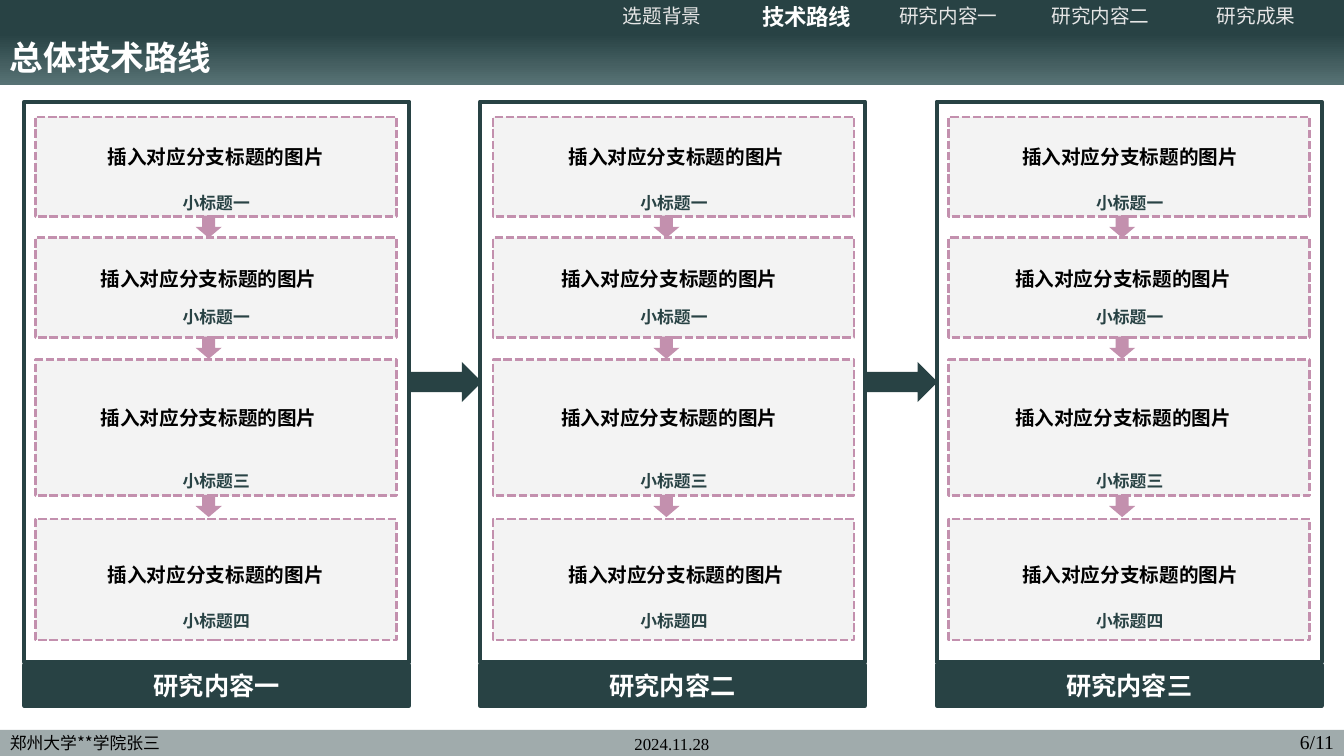
from lxml.etree import SubElement
from pptx import Presentation
from pptx.dml.color import RGBColor
from pptx.enum.dml import MSO_LINE
from pptx.enum.shapes import MSO_SHAPE
from pptx.enum.text import MSO_ANCHOR, PP_ALIGN
from pptx.oxml.ns import qn
from pptx.util import Emu, Pt

PX = 9144
TEAL, PINK, PALE, WHITE, BLACK = "284244", "C390AE", "F3F3F3", "FFFFFF", "000000"
SANS, SERIF = "Noto Sans CJK SC", "Times New Roman"
TABS = [("选题背景", 608), ("技术路线", 746), ("研究内容一", 882),
        ("研究内容二", 1033), ("研究成果", 1197)]
COLUMNS = [("研究内容一", 24, 35, 52), ("研究内容二", 476, 489, 509),
           ("研究内容三", 929, 941, 959)]
ROWS = [("小标题一", 116, 99, 186, 139, 0), ("小标题一", 236, 99, 299, 260, -7),
        ("小标题三", 357, 135, 462, 398, -7), ("小标题四", 515, 120, 601, 554, 0)]


def px(*nums):
    """Turn px lengths into EMU."""
    return [Emu(num * PX) for num in nums]


def tint(color, code):
    """Set a colour from a hex string."""
    color.rgb = RGBColor.from_string(code)


def apply(item, looks):
    """Set each attribute of an item from a dict."""
    for key, value in looks.items():
        setattr(item, key, value)


def shape(slide, kind, box, fill=None, line=None, width=3, dash=None):
    """Add a flat preset shape."""
    item = slide.shapes.add_shape(kind, *px(*box))
    item.shadow.inherit = False
    if fill:
        item.fill.solid()
        tint(item.fill.fore_color, fill)
    else:
        item.fill.background()
    if line:
        tint(item.line.color, line)
        apply(item.line, {"width": Pt(width), "dash_style": dash})
    else:
        item.line.fill.background()
    return item


def write(item, text, size, code, font=SANS, bold=False, align=PP_ALIGN.LEFT,
          anchor=MSO_ANCHOR.TOP, space=None):
    """Put one styled line of text into a shape."""
    apply(item.text_frame, {"word_wrap": True, "vertical_anchor": anchor})
    para = item.text_frame.paragraphs[0]
    apply(para, {"alignment": align, "line_spacing": space})
    run = para.add_run()
    run.text = text
    apply(run.font, {"size": Pt(size), "bold": bold, "name": font})
    tint(run.font.color, code)
    SubElement(run.font._element, qn("a:ea")).set("typeface", font)


def label(slide, box, *args, **looks):
    """Add a text box."""
    write(slide.shapes.add_textbox(*px(*box)), *args, **looks)


def bands(slide):
    """Draw the header and footer bands."""
    foot = shape(slide, MSO_SHAPE.RECTANGLE, (0, 724, 1333, 26), TEAL)
    tone = foot.fill._xPr.find(".//" + qn("a:srgbClr"))
    SubElement(tone, qn("a:alpha")).set("val", "44000")
    shape(slide, MSO_SHAPE.RECTANGLE, (0, 0, 1333, 32), TEAL)
    fill = shape(slide, MSO_SHAPE.RECTANGLE, (0, 31, 1333, 53), TEAL).fill
    fill.gradient()
    fill.gradient_angle = 270
    for stop, code, place in zip(fill.gradient_stops, (TEAL, "577274"), (0.05, 1)):
        tint(stop.color, code)
        stop.position = place


def titles(slide):
    """Write the title, the tabs and the footer."""
    label(slide, (0, 36, 334, 53), "总体技术路线", 24, WHITE, bold=True, space=0.9)
    for text, left in TABS:
        live = text == "技术路线"
        label(slide, (left, -4, 130, 40), text, 16 if live else 14,
              WHITE if live else "E6E6E6", bold=live, anchor=MSO_ANCHOR.MIDDLE)
    label(slide, (0, 722, 177, 30), "郑州大学**学院张三", 12, BLACK)
    label(slide, (591, 723, 151, 30), "2024.11.28", 12, BLACK, SERIF,
          align=PP_ALIGN.CENTER)
    label(slide, (1249, 723, 84, 26), "6/11", 14, BLACK, SERIF,
          align=PP_ALIGN.RIGHT, anchor=MSO_ANCHOR.MIDDLE)


def column(slide, name, left, inner, note):
    """Draw one framed column of dashed cards."""
    bold = {"bold": True, "align": PP_ALIGN.CENTER}
    shape(slide, MSO_SHAPE.RECTANGLE, (left, 101, 382, 556), line=TEAL)
    bar = shape(slide, MSO_SHAPE.RECTANGLE, (left, 660, 382, 40), TEAL, TEAL)
    write(bar, name, 18, WHITE, anchor=MSO_ANCHOR.MIDDLE, **bold)
    for text, top, height, low, mid, shift in ROWS:
        shape(slide, MSO_SHAPE.RECTANGLE, (inner, top, 358, height), PALE,
              PINK, 2, MSO_LINE.SQUARE_DOT)
        label(slide, (inner + 44, low, 271, 30), text, 12, TEAL, **bold)
        label(slide, (note + shift, mid, 324, 34), "插入对应分支标题的图片", 14,
              BLACK, **bold)
    for text, top, height, *rest in ROWS[:-1]:
        shape(slide, MSO_SHAPE.DOWN_ARROW,
              (inner + 159, top + height - 1, 26, 22), PINK)


def main():
    """Build and save the slide."""
    deck = Presentation()
    wide, high = px(1333, 750)
    apply(deck, {"slide_width": wide, "slide_height": high})
    slide = deck.slides.add_slide(deck.slide_layouts[6])
    bands(slide)
    titles(slide)
    for item in COLUMNS:
        column(slide, *item)
    for name, left, *rest in COLUMNS[:-1]:
        shape(slide, MSO_SHAPE.RIGHT_ARROW, (left + 382, 359, 72, 40), TEAL)
    deck.save("out.pptx")


if __name__ == "__main__":
    main()
